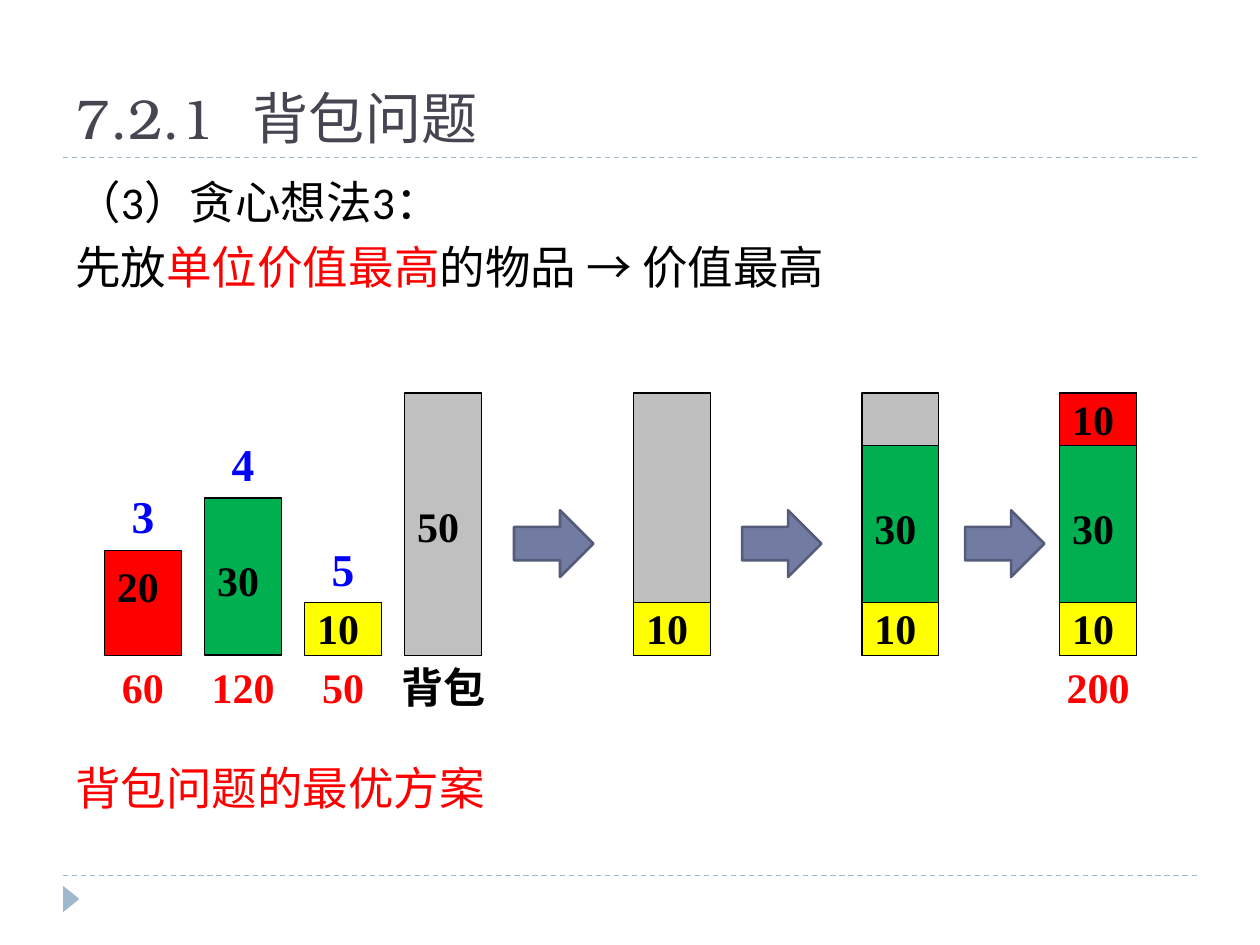
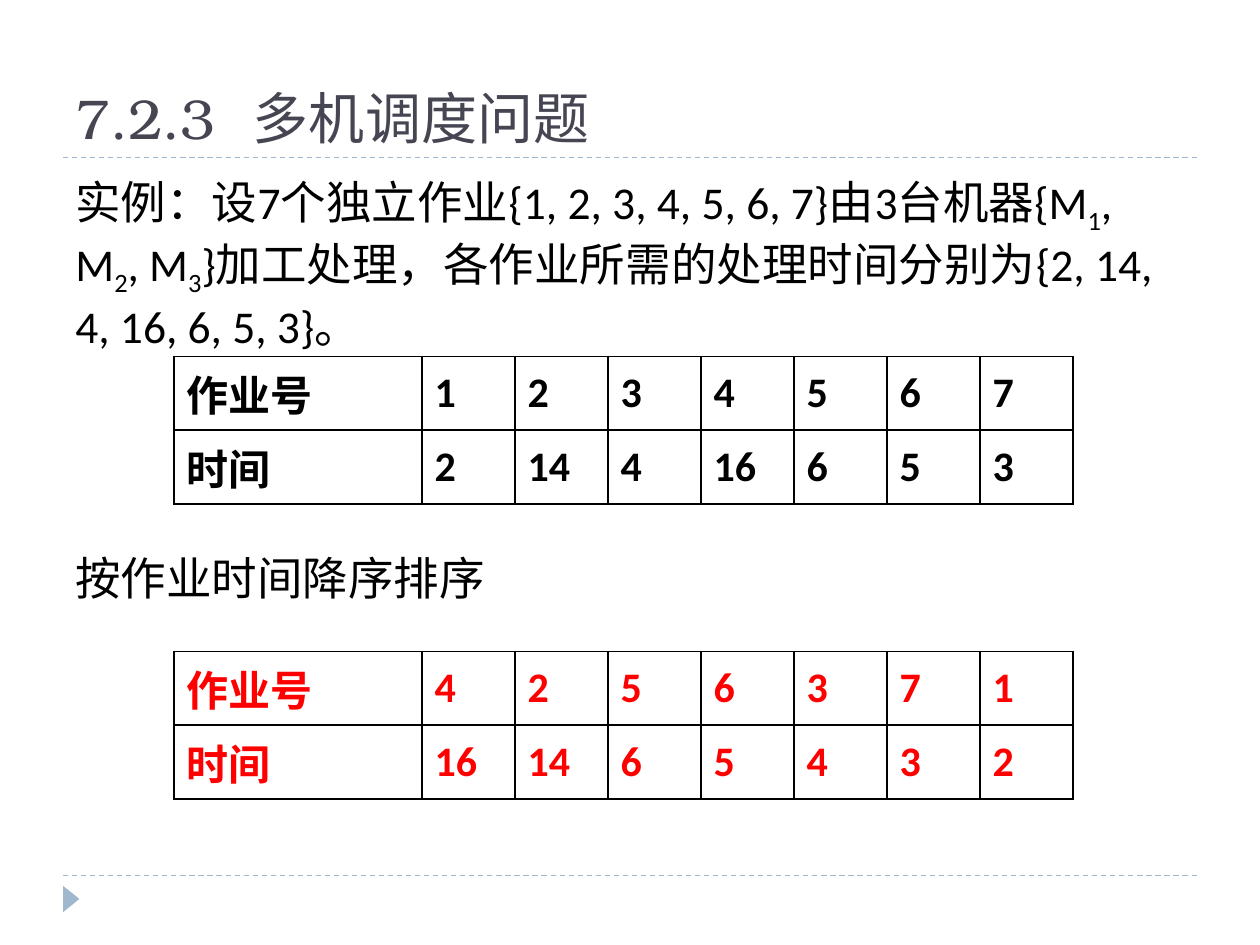
from dataclasses import dataclass

from lxml.etree import SubElement
from pptx import Presentation
from pptx.dml.color import RGBColor
from pptx.enum.dml import MSO_LINE
from pptx.enum.shapes import MSO_CONNECTOR, MSO_SHAPE
from pptx.enum.text import MSO_ANCHOR, MSO_AUTO_SIZE, PP_ALIGN
from pptx.oxml.ns import qn
from pptx.util import Inches, Pt

COLUMNS, ROWS = 100, 75
SLIDE_WIDTH, SLIDE_HEIGHT = Inches(10), Inches(7.5)
INK, RED, BLUE, GREEN, YELLOW = "000000", "FF0000", "0000FF", "00B050", "FFFF00"
TITLE_INK, RULE, ARROW, ARROW_EDGE = "464653", "9FB8CD", "727CA3", "545C79"
SACK_GREY, EMPTY_GREY = "C0C0C0", "BFBFBF"
TITLE_FONT, BODY_FONT, FIGURE_FONT = "TeX Gyre Bonum", "Calibri", "Times New Roman"

CAPACITY, FIGURE_HEIGHT, BAR_WIDTH = 50, 20.8, 6.1
ROWS_PER_WEIGHT = FIGURE_HEIGHT / CAPACITY
LABEL_DROP = {10: 0, 20: 0.8, 30: 4.5, 50: 8.5}


@dataclass
class Box:
    """A region measured in grid columns and rows."""
    left: float
    top: float
    width: float
    height: float

    def place(self, left, top, width, height):
        """Return a box placed relative to this one."""
        return Box(self.left + left, self.top + top, width, height)

    def emu(self):
        """Return left, top, width and height in slide units."""
        column, row = SLIDE_WIDTH / COLUMNS, SLIDE_HEIGHT / ROWS
        return (int(self.left * column), int(self.top * row),
                int(self.width * column), int(self.height * row))


PAGE = Box(0, 0, COLUMNS, ROWS)
HEADING = PAGE.place(5, 1.7, 90, 10.8)
BODY = PAGE.place(5, 13.3, 90, 54)
FOOTER = PAGE.place(5, 69.5, 90, 3)


def colour(value):
    """Turn a hex string into a colour."""
    return RGBColor.from_string(value)


def style(paragraph, size, font, ink, bold=False):
    """Format every run of a paragraph."""
    for run in paragraph.runs:
        run.font.size, run.font.name, run.font.bold = Pt(size), font, bold
        run.font.color.rgb = colour(ink)


def add_runs(paragraph, pieces):
    """Append one run for each piece of text."""
    for piece in pieces:
        paragraph.add_run().text = piece


def add_rule(slide, box):
    """Draw a dashed line along the top of a box."""
    left, top, width, _ = box.emu()
    rule = slide.shapes.add_connector(MSO_CONNECTOR.STRAIGHT, left, top, left + width, top)
    rule.line.color.rgb = colour(RULE)
    rule.line.width = Pt(0.75)
    rule.line.dash_style = MSO_LINE.DASH
    SubElement(rule.element.spPr, qn("a:effectLst"))


def add_block(slide, kind, box, fill, edge=None, edge_width=0.75):
    """Draw a filled preset shape without a shadow."""
    block = slide.shapes.add_shape(kind, *box.emu())
    block.shadow.inherit = False
    block.fill.solid()
    block.fill.fore_color.rgb = colour(fill)
    if edge:
        block.line.color.rgb = colour(edge)
        block.line.width = Pt(edge_width)
    else:
        block.line.fill.background()
    return block


def add_section(deck, number, topic):
    """Add a slide with its heading, rules and footer mark."""
    slide = deck.slides.add_slide(deck.slide_layouts[5])
    heading = slide.shapes.title
    heading.left, heading.top, heading.width, heading.height = HEADING.emu()
    frame = heading.text_frame
    frame.auto_size = MSO_AUTO_SIZE.NONE
    frame.vertical_anchor = MSO_ANCHOR.BOTTOM
    paragraph = frame.paragraphs[0]
    paragraph.alignment = PP_ALIGN.LEFT
    add_runs(paragraph, [number, " ", topic])
    style(paragraph, 32, TITLE_FONT, TITLE_INK)
    paragraph.runs[1].font._element.set("spc", "1100")
    add_rule(slide, HEADING.place(0, HEADING.height, 90, 0))
    add_rule(slide, FOOTER)
    mark = add_block(slide, MSO_SHAPE.ISOSCELES_TRIANGLE, FOOTER.place(-0.4, 1.2, 2.1, 1.3), RULE)
    mark.rotation = 90
    return slide


def add_prose(slide, box, *lines, ink=INK):
    """Write body paragraphs, each a list of text pieces."""
    frame = slide.shapes.add_textbox(*box.emu()).text_frame
    frame.word_wrap = True
    for index, pieces in enumerate(lines):
        paragraph = frame.add_paragraph() if index else frame.paragraphs[0]
        paragraph.space_before = Pt(6)
        add_runs(paragraph, pieces)
        style(paragraph, 26, BODY_FONT, ink)
    return frame


def add_caption(slide, box, words, ink, size=24):
    """Write a bold centred caption on one line."""
    frame = slide.shapes.add_textbox(*box.emu()).text_frame
    frame.word_wrap = False
    frame.text = words
    frame.paragraphs[0].alignment = PP_ALIGN.CENTER
    style(frame.paragraphs[0], size, FIGURE_FONT, ink, True)


def add_bar(slide, figure, left, weight, fill, below=0, labelled=True):
    """Stand a bar on the figure's floor, above the weight below it."""
    height = weight * ROWS_PER_WEIGHT
    top = figure.height - below * ROWS_PER_WEIGHT - height
    box = figure.place(left, top, BAR_WIDTH, height)
    bar = add_block(slide, MSO_SHAPE.RECTANGLE, box, fill, INK)
    if labelled:
        frame = bar.text_frame
        frame.vertical_anchor = MSO_ANCHOR.TOP
        frame.margin_left, frame.margin_right, frame.margin_bottom = Inches(0.1), 0, 0
        frame.margin_top = int(LABEL_DROP[weight] * SLIDE_HEIGHT / ROWS)
        frame.text = str(weight)
        frame.paragraphs[0].alignment = PP_ALIGN.LEFT
        style(frame.paragraphs[0], 24, FIGURE_FONT, INK, True)
    return box


def add_total(slide, figure, left, words, ink=RED):
    """Caption a bar just under the floor."""
    box = figure.place(left + BAR_WIDTH / 2 - 4.5, figure.height, 9, 5)
    add_caption(slide, box, words, ink)


def add_items(slide, figure):
    """Draw the items to choose from and the knapsack."""
    pitch = 7.94
    items = [(20, RED, "60", "3"), (30, GREEN, "120", "4"), (10, YELLOW, "50", "5")]
    for index, (weight, fill, value, unit_value) in enumerate(items):
        bar = add_bar(slide, figure, index * pitch, weight, fill)
        add_total(slide, figure, index * pitch, value)
        add_caption(slide, bar.place(0, -5.4, BAR_WIDTH, 5.4), unit_value, BLUE, 26)
    sack_left = len(items) * pitch
    add_bar(slide, figure, sack_left, CAPACITY, SACK_GREY)
    add_total(slide, figure, sack_left, "背包", INK)


def add_filling(slide, figure):
    """Draw the knapsack after each greedy choice."""
    choices = [(10, YELLOW), (30, GREEN), (10, RED)]
    stages = [(32.5, 42), (50.6, 60.1), (68.3, 75.8)]
    for count, (arrow_left, sack_left) in enumerate(stages, 1):
        arrow = figure.place(arrow_left, 9.3, 6.3, 5.3)
        add_block(slide, MSO_SHAPE.RIGHT_ARROW, arrow, ARROW, ARROW_EDGE, 1.5)
        add_bar(slide, figure, sack_left, CAPACITY, EMPTY_GREY, labelled=False)
        below = 0
        for weight, fill in choices[:count]:
            add_bar(slide, figure, sack_left, weight, fill, below)
            below += weight
    add_total(slide, figure, stages[-1][1], "200")


def add_knapsack_slide(deck):
    """Show the greedy choice by unit value."""
    slide = add_section(deck, "7.2.1", "背包问题")
    frame = add_prose(slide, BODY.place(0, 0, 90, 11), ["（3）贪心想法3："],
                      ["先放", "单位价值最高", "的物品 → 价值最高"])
    frame.paragraphs[1].runs[1].font.color.rgb = colour(RED)
    figure = BODY.place(3.3, 17.9, 82, FIGURE_HEIGHT)
    add_items(slide, figure)
    add_filling(slide, figure)
    add_prose(slide, BODY.place(0, 46.5, 90, 6), ["背包问题的最优方案"], ink=RED)


def add_borders(cell):
    """Draw a thin line on all four sides of a cell."""
    properties = cell._tc.get_or_add_tcPr()
    for side in ("a:lnL", "a:lnR", "a:lnT", "a:lnB"):
        edge = SubElement(properties, qn(side), w=str(Pt(1)))
        fill = SubElement(edge, qn("a:solidFill"))
        SubElement(fill, qn("a:srgbClr"), val=INK)


def add_jobs(slide, box, jobs, ink):
    """Tabulate job numbers and their times."""
    numbers, times = zip(*jobs)
    lines = [("作业号", *numbers), ("时间", *times)]
    table = slide.shapes.add_table(len(lines), len(lines[0]), *box.emu()).table
    table.first_row = table.horz_banding = False
    head_width = 19.7
    job_width = (box.width - head_width) / len(jobs)
    for index, column in enumerate(table.columns):
        column.width = int((job_width if index else head_width) * SLIDE_WIDTH / COLUMNS)
    for row, line in enumerate(lines):
        for column, entry in enumerate(line):
            cell = table.cell(row, column)
            cell.text = str(entry)
            cell.vertical_anchor = MSO_ANCHOR.MIDDLE
            style(cell.text_frame.paragraphs[0], 24, BODY_FONT, ink, True)
            add_borders(cell)
            cell.fill.background()


def add_scheduling_slide(deck):
    """Show the jobs before and after sorting by time."""
    slide = add_section(deck, "7.2.3", "多机调度问题")
    frame = add_prose(slide, BODY.place(0, 0, 90, 15), [
        "实例：设7个独立作业{1, 2, 3, 4, 5, 6, 7}由3台机器{M", "1", ", M", "2", ", M", "3",
        "}加工处理，各作业所需的处理时间分别为{2, 14, 4, 16, 6, 5, 3}。"])
    for subscript in frame.paragraphs[0].runs[1::2]:
        subscript.font._element.set("baseline", "-25000")
    jobs = list(enumerate([2, 14, 4, 16, 6, 5, 3], 1))
    by_time = sorted(jobs, key=lambda job: job[1], reverse=True)
    add_jobs(slide, BODY.place(8.8, 15, 71.4, 11.7), jobs, INK)
    add_prose(slide, BODY.place(0, 29.9, 90, 6), ["按作业时间降序排序"])
    add_jobs(slide, BODY.place(8.8, 38.4, 71.4, 11.7), by_time, RED)


def main():
    """Build the deck and save it."""
    deck = Presentation()
    deck.slide_width, deck.slide_height = SLIDE_WIDTH, SLIDE_HEIGHT
    add_knapsack_slide(deck)
    add_scheduling_slide(deck)
    deck.save("out.pptx")


if __name__ == "__main__":
    main()
